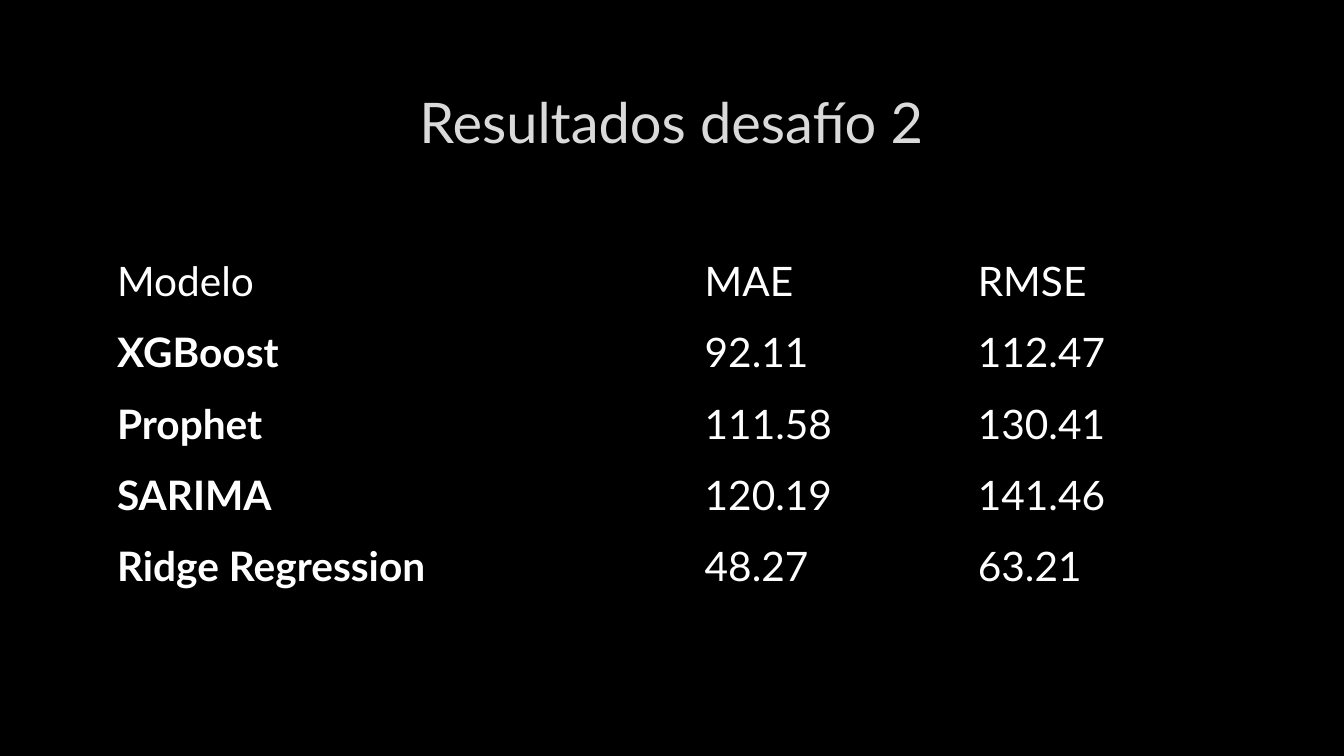
from typing import NamedTuple

from pptx import Presentation
from pptx.dml.color import RGBColor
from pptx.enum.text import MSO_ANCHOR, PP_ALIGN
from pptx.oxml.ns import qn
from pptx.util import Pt

MIDDLE = MSO_ANCHOR.MIDDLE
CENTER = PP_ALIGN.CENTER

FONT = "Lato"
BLACK, WHITE, LIGHT_GRAY = "000000", "FFFFFF", "DADADA"
NO_STYLE_NO_GRID = "{2D5ABB26-0587-4C30-8999-92F81FD0307C}"
LEFT, WIDTH = 72, 815.04
COLUMN_WIDTHS = (419.76, 195.12, 200.16)
ROW_HEIGHT = 51
HEADERS = ("Modelo", "MAE", "RMSE")


class Result(NamedTuple):
    model: str
    mae: str
    rmse: str


RESULTS = (
    Result("XGBoost", "92.11", "112.47"),
    Result("Prophet", "111.58", "130.41"),
    Result("SARIMA", "120.19", "141.46"),
    Result("Ridge Regression", "48.27", "63.21"),
)


def rgb(color: str) -> RGBColor:
    return RGBColor.from_string(color)


def write(tf, text: str, size: float, color: str, bold: bool = False) -> None:
    p = tf.paragraphs[0]
    p.text = text
    font = p.runs[0].font
    font.name, font.size, font.bold = FONT, Pt(size), bold
    font.color.rgb = rgb(color)


def add_title(s, text: str) -> None:
    sp = s.shapes.add_textbox(Pt(LEFT), Pt(48.24), Pt(WIDTH), Pt(76.32))
    tf = sp.text_frame
    tf.word_wrap = True
    tf.vertical_anchor = MIDDLE
    write(tf, text, 40, LIGHT_GRAY)
    tf.paragraphs[0].alignment = CENTER


def add_results(s, results: tuple[Result, ...]) -> None:
    rows = (HEADERS, *results)
    frame = s.shapes.add_table(len(rows), len(HEADERS), Pt(LEFT), Pt(174.96),
                               Pt(WIDTH), Pt(ROW_HEIGHT * len(rows)))
    table = frame.table
    table.first_row = table.horz_banding = False
    next(frame.element.iter(qn("a:tableStyleId"))).text = NO_STYLE_NO_GRID
    for column, width in zip(table.columns, COLUMN_WIDTHS):
        column.width = Pt(width)
    for i, values in enumerate(rows):
        table.rows[i].height = Pt(ROW_HEIGHT)
        for j, value in enumerate(values):
            cell = table.cell(i, j)
            cell.fill.background()
            cell.vertical_anchor = MIDDLE
            cell.margin_left = cell.margin_right = Pt(11.6)
            cell.margin_top = cell.margin_bottom = Pt(5.8)
            is_model = i > 0 and j == 0
            write(cell.text_frame, value, 29, WHITE, bold=is_model)


def main() -> None:
    prs = Presentation()
    prs.slide_width, prs.slide_height = Pt(960), Pt(540)
    s = prs.slides.add_slide(prs.slide_layouts[6])
    s.background.fill.solid()
    s.background.fill.fore_color.rgb = rgb(BLACK)
    add_title(s, "Resultados desafío 2")
    add_results(s, RESULTS)
    prs.save("out.pptx")


if __name__ == "__main__":
    main()
